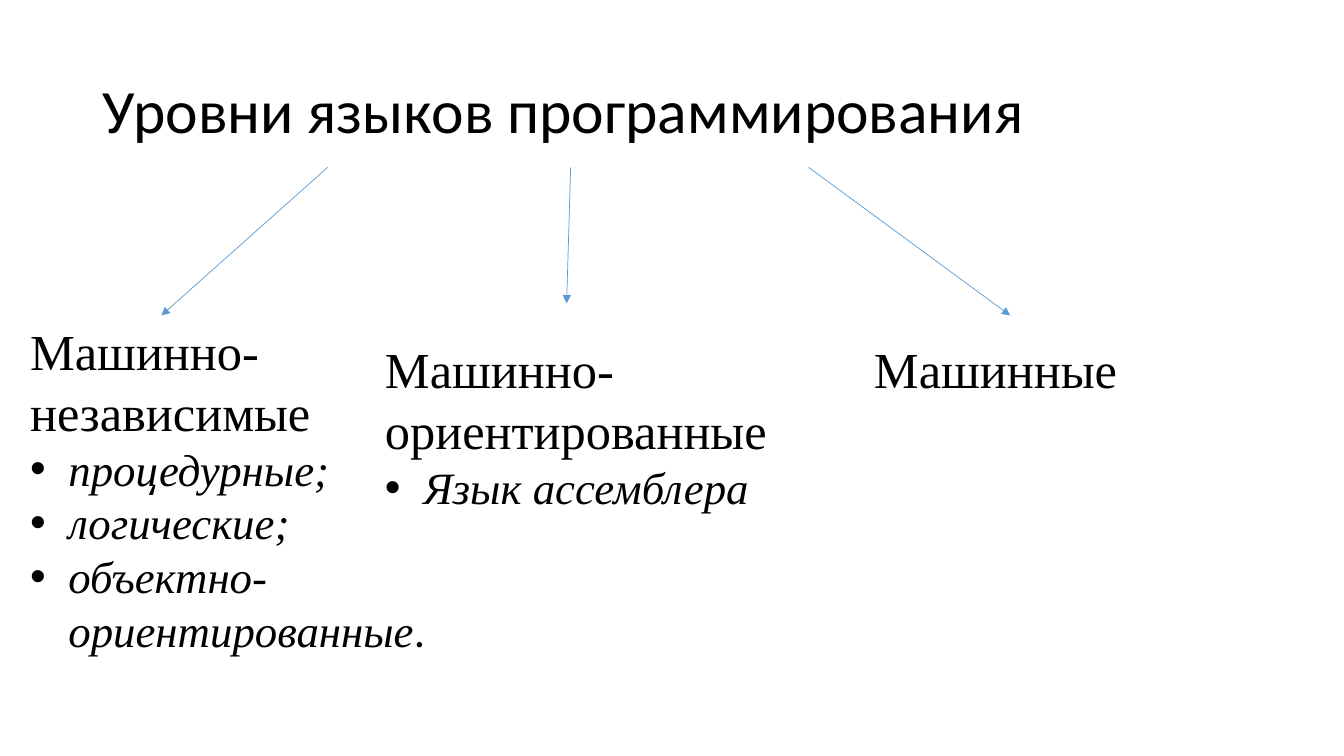
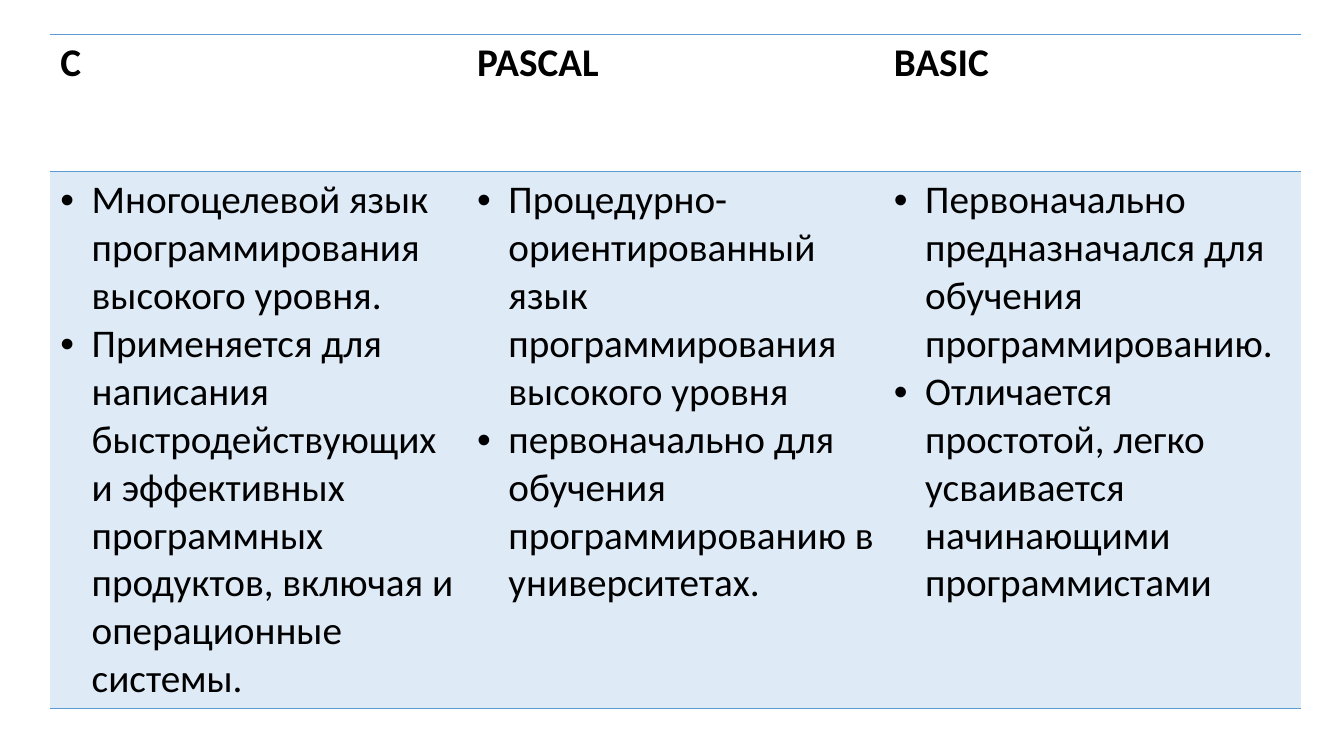
from lxml import etree
from pptx import Presentation, util as u
from pptx.dml.color import RGBColor
from pptx.enum import shapes, text
from pptx.oxml.ns import qn

BLUE = RGBColor(0x5B, 0x9B, 0xD5)
PALE_BLUE = RGBColor(0xDE, 0xEA, 0xF6)
BLACK = RGBColor(0, 0, 0)
SANS, SERIF = "Calibri", "Times New Roman"


def write(paragraph, words, size, face, bold=False, italic=False, indent=0):
    if indent:
        props = paragraph._p.get_or_add_pPr()
        props.set("marL", str(u.Inches(indent)))
        props.set("indent", str(-u.Inches(indent)))
        etree.SubElement(props, qn("a:buFont"), typeface="Arial")
        etree.SubElement(props, qn("a:buChar"), char="•")
    paragraph.add_run().text = words
    paragraph.alignment = text.PP_ALIGN.LEFT
    font = paragraph.font
    font.name, font.size, font.color.rgb = face, u.Pt(size), BLACK
    font.bold, font.italic = bold, italic


def rule_cell(cell, sides):
    props = cell._tc.get_or_add_tcPr()
    for place, side in enumerate(("lnL", "lnR", "lnT", "lnB")):
        edge = etree.Element(qn("a:" + side), w=str(u.Pt(1)))
        if side in sides:
            paint = etree.SubElement(edge, qn("a:solidFill"))
            etree.SubElement(paint, qn("a:srgbClr"), val=str(BLUE))
        else:
            etree.SubElement(edge, qn("a:noFill"))
        props.insert(place, edge)


deck = Presentation()
deck.slide_width, deck.slide_height = u.Inches(13.33), u.Inches(7.5)

levels = deck.slides.add_slide(deck.slide_layouts[5])
heading = levels.shapes.title
heading.left, heading.top = u.Inches(0.92), u.Inches(0.4)
heading.width, heading.height = u.Inches(11.5), u.Inches(1.45)
heading.text_frame.vertical_anchor = text.MSO_ANCHOR.MIDDLE
title_line = heading.text_frame.paragraphs[0]
write(title_line, "Уровни языков программирования", 44, SANS)
title_line.line_spacing = 0.9

for start_x, end_x, end_y in ((3.25, 1.6, 3.13), (5.66, 5.62, 3.01), (8.02, 10.02, 3.13)):
    branch = levels.shapes.add_connector(
        shapes.MSO_CONNECTOR.STRAIGHT,
        u.Inches(start_x), u.Inches(1.66), u.Inches(end_x), u.Inches(end_y))
    branch.line.color.rgb, branch.line.width = BLUE, u.Pt(0.5)
    etree.SubElement(branch.line._get_or_add_ln(), qn("a:tailEnd"), type="triangle")
    etree.SubElement(branch._element.spPr, qn("a:effectLst"))

groups = (
    ((0.2, 3.13, 4.13, 3.94), "Машинно-независимые",
     ("процедурные;", "логические;", "объектно-ориентированные")),
    ((3.72, 3.31, 4.07, 2.32), "Машинно-ориентированные", ("Язык ассемблера",)),
    ((8.57, 3.31, 3.17, 0.71), "Машинные", ()),
)
for area, level, kinds in groups:
    frame = levels.shapes.add_textbox(*map(u.Inches, area)).text_frame
    frame.word_wrap = True
    frame.auto_size = text.MSO_AUTO_SIZE.SHAPE_TO_FIT_TEXT
    write(frame.paragraphs[0], level, 36, SERIF)
    for kind in kinds:
        item = frame.add_paragraph()
        write(item, kind, 32, SERIF, italic=True, indent=0.38)
        if kind == "объектно-ориентированные":
            full_stop = item.add_run()
            full_stop.text = "."
            full_stop.font.name, full_stop.font.italic = SANS, False

languages = (
    ("C", ("Многоцелевой язык программирования высокого уровня.",
           "Применяется для написания быстродействующих и эффективных программных "
           "продуктов, включая и операционные системы.")),
    ("PASCAL", ("Процедурно-ориентированный язык программирования высокого уровня",
                "первоначально для обучения программированию в университетах.")),
    ("BASIC", ("Первоначально предназначался для обучения программированию.",
               "Отличается простотой, легко усваивается начинающими программистами")),
)
comparison = deck.slides.add_slide(deck.slide_layouts[6])
grid = comparison.shapes.add_table(
    2, len(languages), u.Inches(0.5), u.Inches(0.34), u.Inches(12.4), u.Inches(6.68)).table
grid.rows[0].height, grid.rows[1].height = u.Inches(1.36), u.Inches(5.32)

for column, (language, traits) in enumerate(languages):
    name_cell, traits_cell = grid.cell(0, column), grid.cell(1, column)
    name_cell.fill.background()
    traits_cell.fill.solid()
    traits_cell.fill.fore_color.rgb = PALE_BLUE
    for cell in (name_cell, traits_cell):
        rule_cell(cell, ("lnT", "lnB"))
    write(name_cell.text_frame.paragraphs[0], language, 28, SANS, bold=True)
    for number, trait in enumerate(traits):
        frame = traits_cell.text_frame
        paragraph = frame.add_paragraph() if number else frame.paragraphs[0]
        write(paragraph, trait, 28, SANS, indent=0.31)

deck.save("out.pptx")
